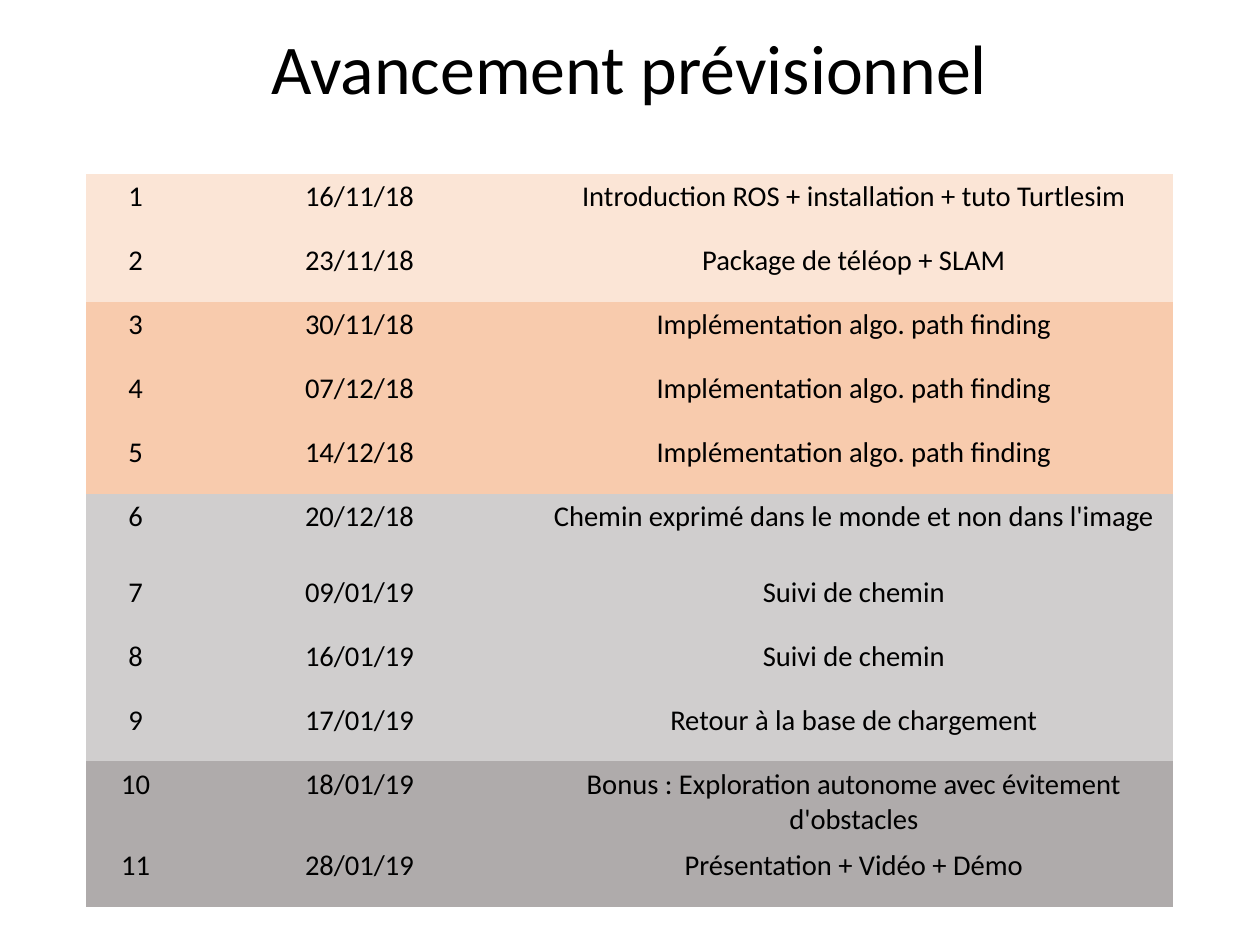
import pptx
import pptx.util
import pptx.dml.color
import pptx.enum.text
import pptx.oxml.ns
import lxml.etree

Pt = pptx.util.Pt
RGBColor = pptx.dml.color.RGBColor

BLACK = RGBColor(0x00, 0x00, 0x00)
LIGHT_ORANGE = RGBColor(0xFB, 0xE5, 0xD6)
ORANGE = RGBColor(0xF8, 0xCB, 0xAD)
LIGHT_GREY = RGBColor(0xD0, 0xCE, 0xCE)
GREY = RGBColor(0xAF, 0xAB, 0xAB)

# Each phase: fill colour, then (date, task) for its sessions
PHASES = [
    (LIGHT_ORANGE, [
        ("16/11/18", "Introduction ROS + installation + tuto Turtlesim"),
        ("23/11/18", "Package de téléop + SLAM"),
    ]),
    (ORANGE, [
        (date, "Implémentation algo. path finding")
        for date in ("30/11/18", "07/12/18", "14/12/18")
    ]),
    (LIGHT_GREY, [
        ("20/12/18", "Chemin exprimé dans le monde et non dans l'image"),
        ("09/01/19", "Suivi de chemin"),
        ("16/01/19", "Suivi de chemin"),
        ("17/01/19", "Retour à la base de chargement"),
    ]),
    (GREY, [
        ("18/01/19", "Bonus : Exploration autonome avec évitement d'obstacles"),
        ("28/01/19", "Présentation + Vidéo + Démo"),
    ]),
]
COLUMN_WIDTHS = (62, 220.2, 402.6)
ROW_HEIGHT = 40.35
TALL_ROWS = {6: 47.4, 10: 51.2}


def write_text(tf, text, size=18, color=BLACK, font="Calibri",
               align=pptx.enum.text.PP_ALIGN.CENTER):
    p = tf.paragraphs[0]
    p.alignment = align
    r = p.add_run()
    r.text = text
    r.font.size = Pt(size)
    r.font.name = font
    r.font.color.rgb = color


class Deck:
    def __init__(self, width, height):
        self.prs = pptx.Presentation()
        self.prs.slide_width = Pt(width)
        self.prs.slide_height = Pt(height)
        self.s = self.prs.slides.add_slide(self.prs.slide_layouts[5])

    def title(self, text, left, top, width, height):
        sp = self.s.shapes.title
        sp.left, sp.top, sp.width, sp.height = map(Pt, (left, top, width, height))
        tf = sp.text_frame
        tf.margin_left = tf.margin_right = tf.margin_top = tf.margin_bottom = 0
        tf.vertical_anchor = pptx.enum.text.MSO_ANCHOR.MIDDLE
        tf.word_wrap = True
        write_text(tf, text, size=44)

    def cell(self, cell, text, color):
        # Borders come before the fill in the cell properties
        tcPr = cell._tc.get_or_add_tcPr()
        for side in ("a:lnL", "a:lnR", "a:lnT", "a:lnB"):
            ln = lxml.etree.SubElement(tcPr, pptx.oxml.ns.qn(side), w="0")
            lxml.etree.SubElement(ln, pptx.oxml.ns.qn("a:noFill"))
        cell.fill.solid()
        cell.fill.fore_color.rgb = color
        write_text(cell.text_frame, text)

    def table(self, rows, left, top, widths, heights):
        frame = self.s.shapes.add_table(
            len(rows), len(widths), Pt(left), Pt(top),
            Pt(sum(widths)), Pt(sum(heights)))
        table = frame.table
        table.first_row = False
        table.horz_banding = False
        for column, width in zip(table.columns, widths):
            column.width = Pt(width)
        for row, height, (color, texts) in zip(table.rows, heights, rows):
            row.height = Pt(height)
            for cell, text in zip(row.cells, texts):
                self.cell(cell, text, color)


def main():
    deck = Deck(793.75, 595.25)

    # Title
    deck.title("Avancement prévisionnel", 39.6, 15, 714.2, 53.5)

    # Schedule, sessions numbered from 1
    sessions = [(color, session) for color, phase in PHASES for session in phase]
    rows = [(color, (str(n), *session))
            for n, (color, session) in enumerate(sessions, 1)]
    heights = [TALL_ROWS.get(n, ROW_HEIGHT) for n in range(1, len(rows) + 1)]
    deck.table(rows, 54.4, 109.4, COLUMN_WIDTHS, heights)

    deck.prs.save("out.pptx")


if __name__ == "__main__":
    main()
